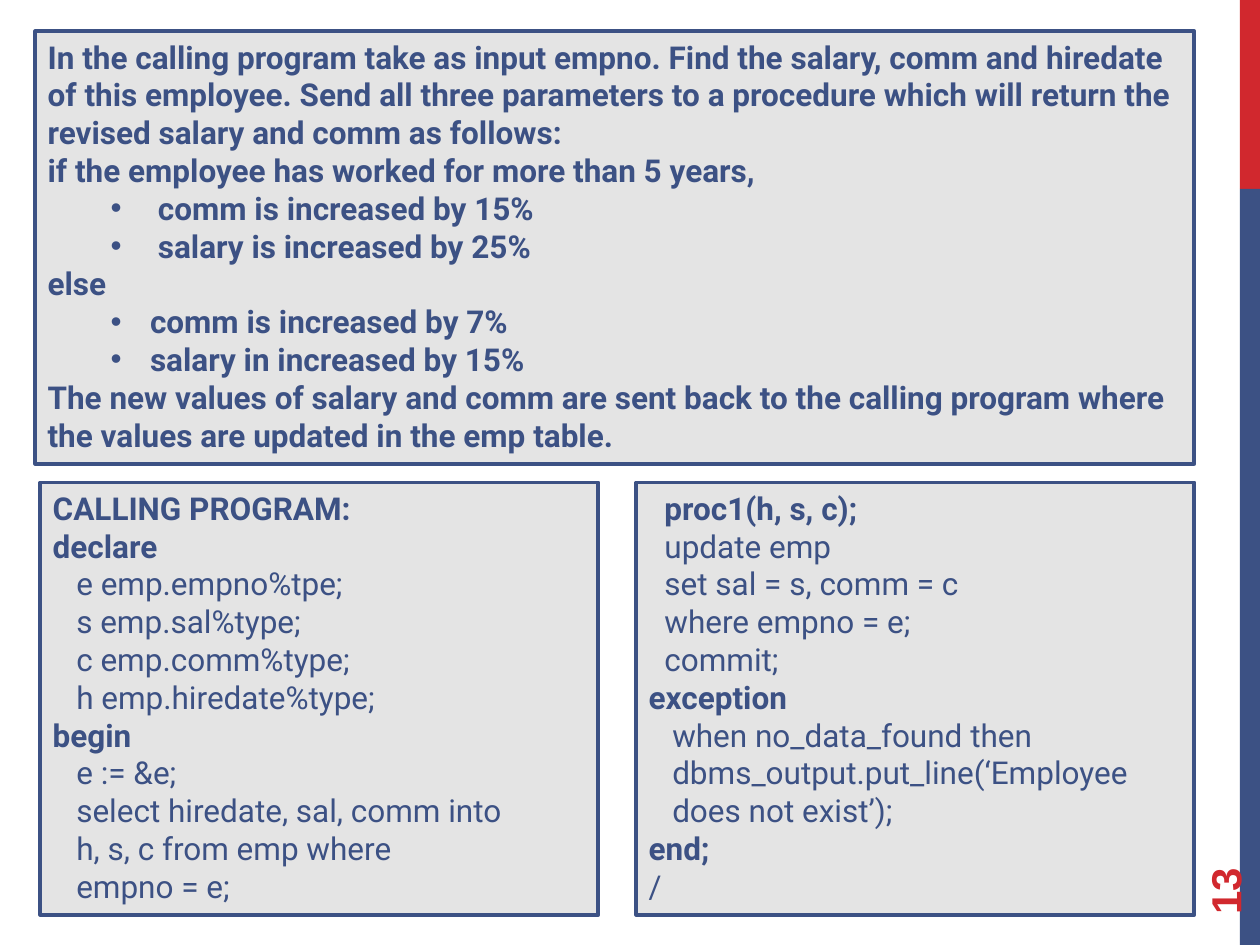
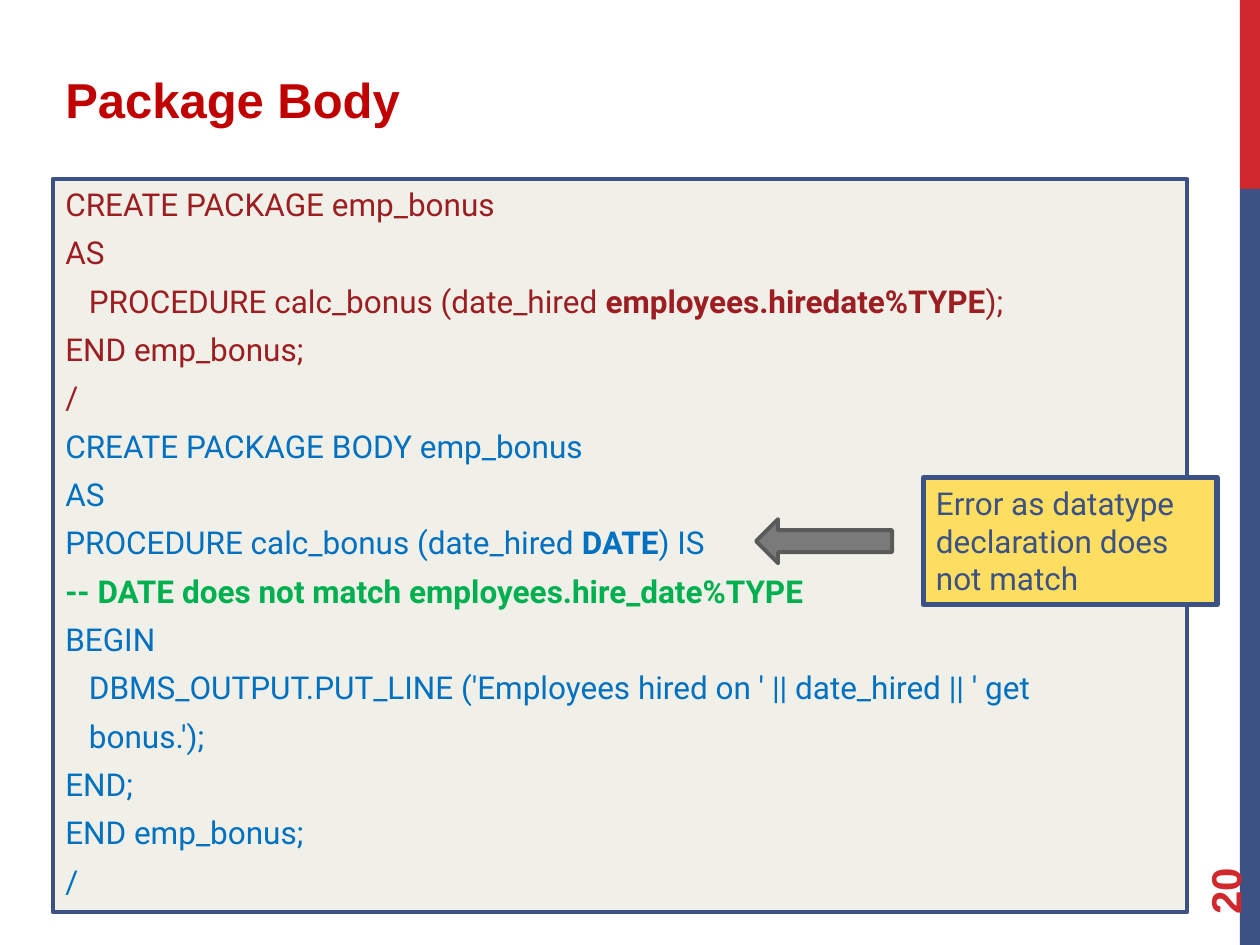
from pptx import Presentation, util as u
from pptx.dml.color import RGBColor
from pptx.enum import shapes, text
from lxml import etree

# Shared look
RED = RGBColor(0xD1, 0x28, 0x2E)
NAVY = RGBColor(0x3C, 0x51, 0x84)
WINE = RGBColor(0xC0, 0x00, 0x00)
MAROON = RGBColor(0x9D, 0x1E, 0x22)
BLUE = RGBColor(0x00, 0x70, 0xC0)
GREEN = RGBColor(0x00, 0xB0, 0x50)
SILVER = RGBColor(0xE4, 0xE4, 0xE4)
CREAM = RGBColor(0xF0, 0xF0, 0xE9)
GOLD = RGBColor(0xFE, 0xDE, 0x61)
GREY = RGBColor(0x7A, 0x7A, 0x7A)
DARK = RGBColor(0x5A, 0x5A, 0x5A)
HEAD, BODY = "Arial", "Roboto"
WIDE, HIGH = 10, 7.5
BAND = 0.16
STEP = 0.0625  # indent unit, inches
NS = "http://schemas.openxmlformats.org/drawingml/2006/main"

# Content: (indent steps, words, bullet hang in steps); *...* marks bold
TASK = [
    (0, "*In the calling program take as input empno. Find the salary, comm "
        "and hiredate of this employee. Send all three parameters to a "
        "procedure which will return the revised salary and comm as follows:*"),
    (0, "*if the employee has worked for more than 5 years,*"),
    (14, "*comm is increased by 15%*", 6),
    (14, "*salary is increased by 25%*", 6),
    (0, "*else*"),
    (13, "*comm is increased by 7%*", 5),
    (13, "*salary in increased by 15%*", 5),
    (0, "*The new values of salary and comm are sent back to the calling "
        "program where the values are updated in the emp table.*"),
]
CALLER = [
    (0, "*CALLING PROGRAM:*"),
    (0, "*declare*"),
    (3, "e emp.empno%tpe;"),
    (3, "s emp.sal%type;"),
    (3, "c emp.comm%type;"),
    (3, "h emp.hiredate%type;"),
    (0, "*begin*"),
    (3, "e := &e;"),
    (3, "select hiredate, sal, comm into"),
    (3, "h, s, c from emp where"),
    (3, "empno = e;"),
]
UPDATE = [
    (2, "*proc1(h, s, c);*"),
    (2, "update emp"),
    (2, "set sal = s, comm = c"),
    (2, "where empno = e;"),
    (2, "commit;"),
    (0, "*exception*"),
    (3, "when no_data_found then"),
    (3, "dbms_output.put_line(‘Employee"),
    (3, "does not exist’);"),
    (0, "*end;*"),
    (0, "/"),
]
PACKAGE = [
    (MAROON, [
        (0, "CREATE PACKAGE emp_bonus"),
        (0, "AS"),
        (3, "PROCEDURE calc_bonus (date_hired *employees.hiredate%TYPE*);"),
        (0, "END emp_bonus;"),
        (0, "/"),
    ]),
    (BLUE, [
        (0, "CREATE PACKAGE BODY emp_bonus"),
        (0, "AS"),
        (0, "PROCEDURE calc_bonus (date_hired *DATE*) IS"),
    ]),
    (GREEN, [(0, "*-- DATE does not match employees.hire_date%TYPE*")]),
    (BLUE, [
        (0, "BEGIN"),
        (3, "DBMS_OUTPUT.PUT_LINE ('Employees hired on ' || date_hired || ' get"),
        (3, "bonus.');"),
        (0, "END;"),
        (0, "END emp_bonus;"),
        (0, "/"),
    ]),
]
ERROR = [(0, "Error as datatype"), (0, "declaration does not match")]


def inches(box):
    return [u.Inches(n) for n in box]


def draw(page, box, fill, line=None, width=2.25,
         kind=shapes.MSO_SHAPE.RECTANGLE):
    item = page.shapes.add_shape(kind, *inches(box))
    item.shadow.inherit = False
    item.fill.solid()
    item.fill.fore_color.rgb = fill
    if line is None:
        item.line.fill.background()
    else:
        item.line.color.rgb = line
        item.line.width = u.Pt(width)
    return item


def style(run, size, face, ink, bold):
    font = run.font
    font.size, font.name, font.bold = u.Pt(size), face, bold
    font.color.rgb = ink


def indent(para, steps, hang):
    props = para._p.get_or_add_pPr()
    props.set("marL", str(u.Inches(steps * STEP)))
    props.set("indent", str(-u.Inches(hang * STEP)))
    if hang:
        etree.SubElement(props, f"{{{NS}}}buFont", typeface=HEAD)
        etree.SubElement(props, f"{{{NS}}}buChar", char="•")


def panel(page, box, fill, groups, gap=0, width=2.25):
    """Framed box of text lines, in groups that share an ink."""
    frame = draw(page, box, fill, NAVY, width).text_frame
    frame.word_wrap = True
    frame.vertical_anchor = text.MSO_ANCHOR.TOP
    frame.auto_size = text.MSO_AUTO_SIZE.SHAPE_TO_FIT_TEXT
    rows = [(ink, row) for ink, rows in groups for row in rows]
    for n, (ink, (steps, words, *hang)) in enumerate(rows):
        para = frame.add_paragraph() if n else frame.paragraphs[0]
        para.alignment = text.PP_ALIGN.LEFT
        para.space_before = u.Pt(gap)
        indent(para, steps, hang[0] if hang else 0)
        for k, part in enumerate(words.split("*")):
            if part:
                run = para.add_run()
                run.text = part
                style(run, 18, BODY, ink, k % 2 == 1)


def label(page, box, words, size, ink):
    item = page.shapes.add_textbox(*inches(box))
    frame = item.text_frame
    frame.word_wrap = True
    frame.text = words
    style(frame.paragraphs[0].runs[0], size, HEAD, ink, True)
    return item


def start(deck, number):
    """Blank page with the side bands and the upright page number."""
    page = deck.slides.add_slide(deck.slide_layouts[6])
    cut = HIGH / 5
    draw(page, (WIDE - BAND, 0, BAND, cut), RED)
    draw(page, (WIDE - BAND, cut, BAND, HIGH - cut), NAVY)
    mark = label(page, (9, 6.44, 1.44, 0.4), str(number), 24, RED)
    mark.rotation = 270
    mark.text_frame.vertical_anchor = text.MSO_ANCHOR.MIDDLE
    return page


def task(deck):
    page = start(deck, 13)
    tall, half, right = 3.43, 4.43, 9.48
    panel(page, (0.28, 0.25, right - 0.28, tall), SILVER, [(NAVY, TASK)])
    for left, rows in ((0.32, CALLER), (right - half, UPDATE)):
        panel(page, (left, 3.83, half, tall), SILVER, [(NAVY, rows)])


def body(deck):
    page = start(deck, 20)
    left = 0.42
    panel(page, (left, 1.42, 9, 5.82), CREAM, PACKAGE, gap=6)
    title = label(page, (left, 0.5, 6.83, 0.67), "Package Body", 28, WINE)
    para = title.text_frame.paragraphs[0]
    para.space_before, para.space_after = u.Pt(5.6), u.Pt(6)
    # Error note and its arrow
    draw(page, (6, 4.12, 1.08, 0.35), GREY, DARK,
         kind=shapes.MSO_SHAPE.LEFT_ARROW)
    panel(page, (7.33, 3.79, 2.33, 1.01), GOLD, [(NAVY, ERROR)], width=3)


def main():
    deck = Presentation()
    deck.slide_width, deck.slide_height = inches((WIDE, HIGH))
    task(deck)
    body(deck)
    deck.save("out.pptx")


if __name__ == "__main__":
    main()
